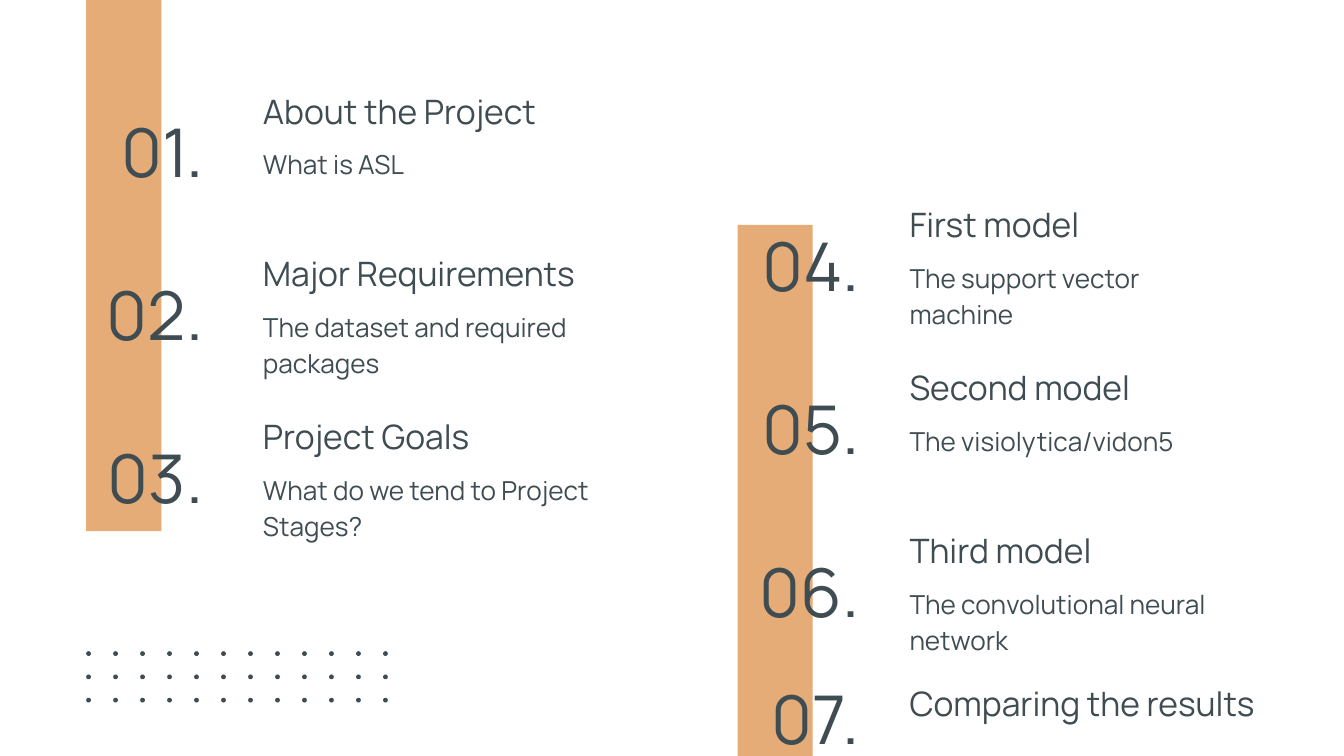
from dataclasses import dataclass
from pptx import Presentation
from pptx.dml.color import RGBColor
from pptx.enum.shapes import MSO_SHAPE
from pptx.enum.text import MSO_ANCHOR, MSO_AUTO_SIZE, PP_ALIGN
from pptx.util import Cm, Pt


@dataclass
class Theme:
    ink: RGBColor = RGBColor(0x3F, 0x4D, 0x53)
    sand: RGBColor = RGBColor(0xE5, 0xAC, 0x77)
    font: str = "Manrope"
    head: int = 18
    body: int = 14
    num: int = 36


theme = Theme()


def write(box, text, size, left, top, width, height):
    """Place a text box or placeholder and set its text."""
    box.left, box.top = Cm(left), Cm(top)
    box.width, box.height = Cm(width), Cm(height)
    frame = box.text_frame
    frame.text = text
    frame.word_wrap = True
    frame.auto_size = MSO_AUTO_SIZE.NONE
    frame.vertical_anchor = MSO_ANCHOR.TOP
    frame.margin_left = frame.margin_right = Cm(0.25)
    frame.margin_top = frame.margin_bottom = Cm(0.25)
    para = frame.paragraphs[0]
    para.alignment = PP_ALIGN.LEFT
    para.line_spacing = 1.0
    font = para.runs[0].font
    font.name, font.size = theme.font, Pt(size)
    font.color.rgb = theme.ink
    return frame


def paint(shape, color):
    """Give a shape a plain fill with no line or shadow."""
    shape.shadow.inherit = False
    shape.fill.solid()
    shape.fill.fore_color.rgb = color
    shape.line.fill.background()


deck = Presentation()
deck.slide_width, deck.slide_height = Cm(25.4), Cm(14.29)
slide = deck.slides.add_slide(deck.slide_layouts[5])
shapes = slide.shapes

# Vertical bars
for left, top in [(1.63, 0), (13.94, 4.25)]:
    bar = shapes.add_shape(MSO_SHAPE.RECTANGLE, Cm(left), Cm(top), Cm(1.42), Cm(10.04))
    paint(bar, theme.sand)

# Agenda columns: number left, text left, first top, items
columns = [
    (0.43, 4.72, 1.46, [
        ("About the Project", "What is ASL"),
        ("Major Requirements", "The dataset and required packages"),
        ("Project Goals", "What do we tend to Project Stages?"),
    ]),
    (12.83, 16.94, 3.61, [
        ("First model", "The support vector machine"),
        ("Second model", "The visiolytica/vidon5"),
        ("Third model", "The convolutional neural network"),
        ("Comparing the results", None),
    ]),
]
step = 3.08
count = 0
for numx, textx, start, items in columns:
    for row, (head, body) in enumerate(items):
        count += 1
        # The last item sits closer to the one above
        top = start + row * step if body else 12.65
        drop = 0.9 if body else 0.43

        # Heading, the first one in the title placeholder
        box = shapes.title if count == 1 else shapes.add_textbox(0, 0, 0, 0)
        write(box, head, theme.head, textx, top, 7.65, 1.22)

        # Description
        if body:
            box = shapes.add_textbox(0, 0, 0, 0)
            para = write(box, body, theme.body, textx, top + 1.01, 6.71, 1.22).paragraphs[0]
            para.line_spacing = 1.15
            para.space_after = Pt(16)

        # Number
        box = shapes.add_textbox(0, 0, 0, 0)
        frame = write(box, f"{count:02}.", theme.num, numx, top + drop, 3.66, 1.5)
        frame.vertical_anchor = MSO_ANCHOR.BOTTOM
        frame.paragraphs[0].alignment = PP_ALIGN.RIGHT

# Dot grid
dots = shapes.add_group_shape()
for row in range(3):
    for col in range(12):
        dot = dots.shapes.add_shape(
            MSO_SHAPE.OVAL, Cm(1.63 + col * 0.51), Cm(12.31 + row * 0.44), Cm(0.09), Cm(0.09))
        paint(dot, theme.ink)

deck.save("out.pptx")
